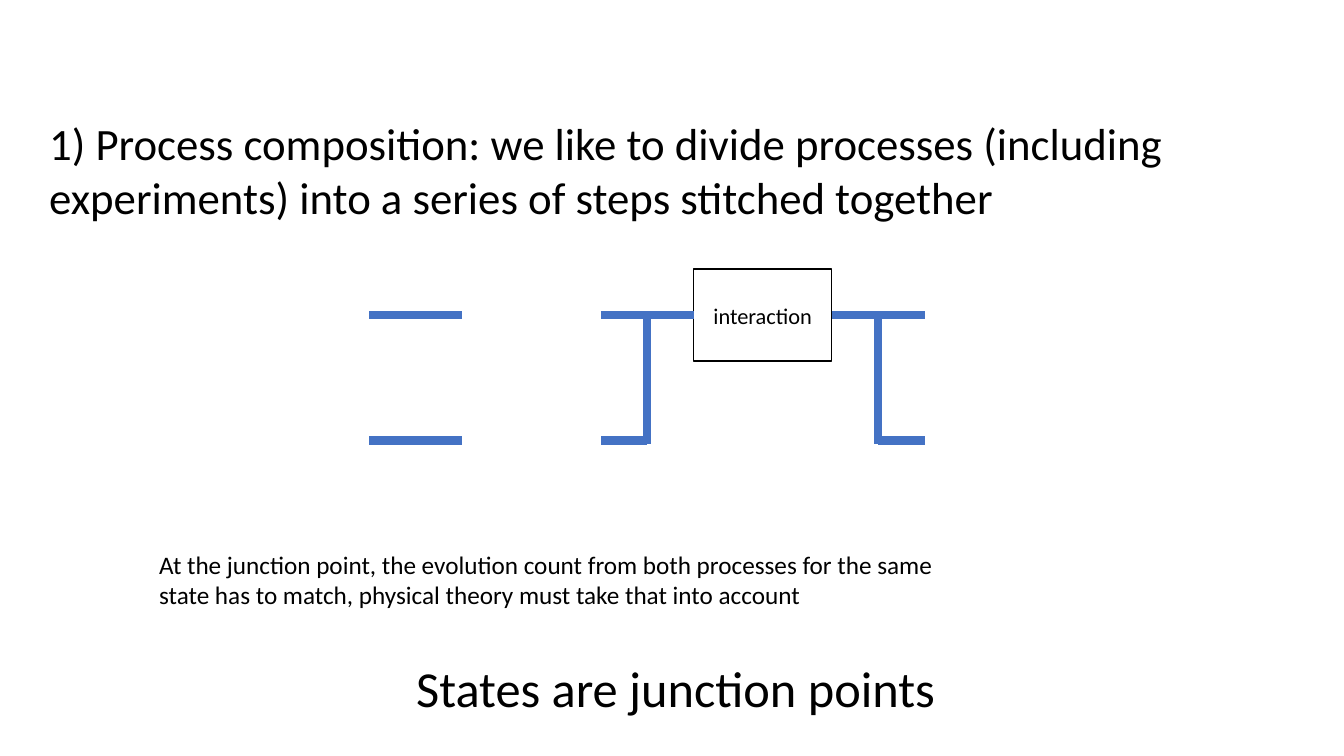
from dataclasses import dataclass
from typing import Optional

from lxml.etree import SubElement
from pptx import Presentation
from pptx.dml.color import RGBColor
from pptx.enum.shapes import MSO_CONNECTOR, MSO_SHAPE
from pptx.enum.text import MSO_ANCHOR, PP_ALIGN
from pptx.oxml.ns import qn
from pptx.shapes.autoshape import Shape
from pptx.slide import Slide
from pptx.util import Cm, Pt

BLACK = RGBColor(0x00, 0x00, 0x00)
WHITE = RGBColor(0xFF, 0xFF, 0xFF)
BLUE = RGBColor(0x44, 0x72, 0xC4)
FONT = "Calibri"

BOX_LEFT, BOX_TOP, BOX_WIDTH, BOX_HEIGHT = 17.48, 6.78, 3.48, 2.32
BOX_RIGHT = BOX_LEFT + BOX_WIDTH
HIGH = BOX_TOP + BOX_HEIGHT / 2
LOW = 11.1
FOOT = 11.2
WIRE = 2.34
HALF = WIRE / 2
START = 9.3
LEFT_SIDE, RIGHT_SIDE = 1, 3


@dataclass
class Label:
    text: str
    left: float
    top: float
    width: float
    height: float
    size: int
    align: PP_ALIGN = PP_ALIGN.LEFT


@dataclass
class Line:
    x1: float
    y1: float
    x2: float
    y2: float
    begin: Optional[int] = None
    end: Optional[int] = None


LABELS = [
    Label("1) Process composition: we like to divide processes (including "
          "experiments) into a series of steps stitched together",
          0.99, 2.8, 32.05, 3, 32),
    Label("States are junction points", 8.56, 16.43, 16.94, 1.8, 36,
          PP_ALIGN.CENTER),
    Label("At the junction point, the evolution count from both processes "
          "for the same state has to match, physical theory must take that "
          "into account", 3.76, 13.72, 20.85, 1.8, 18),
]

LINES = [
    Line(START, HIGH, START + WIRE, HIGH),
    Line(START, LOW, START + WIRE, LOW),
    Line(BOX_RIGHT, HIGH, BOX_RIGHT + WIRE, HIGH, begin=RIGHT_SIDE),
    Line(BOX_RIGHT + WIRE, LOW, BOX_RIGHT + HALF, LOW),
    Line(BOX_RIGHT + HALF, HIGH, BOX_RIGHT + HALF, FOOT),
    Line(BOX_LEFT - WIRE, HIGH, BOX_LEFT, HIGH, end=LEFT_SIDE),
    Line(BOX_LEFT - HALF, LOW, BOX_LEFT - WIRE, LOW),
    Line(BOX_LEFT - HALF, HIGH, BOX_LEFT - HALF, FOOT),
]


def write(shape: Shape, text: str, size: int, align: PP_ALIGN) -> None:
    shape.text_frame.word_wrap = True
    para = shape.text_frame.paragraphs[0]
    para.text = text
    para.alignment = align
    para.font.name = FONT
    para.font.size = Pt(size)
    para.font.color.rgb = BLACK


def add_label(slide: Slide, label: Label) -> None:
    shape = slide.shapes.add_textbox(Cm(label.left), Cm(label.top),
                                     Cm(label.width), Cm(label.height))
    write(shape, label.text, label.size, label.align)


def add_box(slide: Slide) -> Shape:
    box = slide.shapes.add_shape(MSO_SHAPE.RECTANGLE, Cm(BOX_LEFT), Cm(BOX_TOP),
                                 Cm(BOX_WIDTH), Cm(BOX_HEIGHT))
    box.shadow.inherit = False
    box.fill.solid()
    box.fill.fore_color.rgb = WHITE
    box.line.color.rgb = BLACK
    box.line.width = Pt(1)
    box.text_frame.vertical_anchor = MSO_ANCHOR.MIDDLE
    write(box, "interaction", 16, PP_ALIGN.CENTER)
    return box


def add_line(slide: Slide, line: Line, box: Shape) -> None:
    wire = slide.shapes.add_connector(MSO_CONNECTOR.STRAIGHT, Cm(line.x1),
                                      Cm(line.y1), Cm(line.x2), Cm(line.y2))
    wire.line.color.rgb = BLUE
    wire.line.width = Pt(6)
    SubElement(wire._element.spPr, qn("a:effectLst"))
    if line.begin is not None:
        wire.begin_connect(box, line.begin)
    if line.end is not None:
        wire.end_connect(box, line.end)


def main() -> None:
    deck = Presentation()
    deck.slide_width = Cm(33.87)
    deck.slide_height = Cm(19.05)
    slide = deck.slides.add_slide(deck.slide_layouts[6])
    for label in LABELS:
        add_label(slide, label)
    box = add_box(slide)
    for line in LINES:
        add_line(slide, line, box)
    deck.save("out.pptx")


if __name__ == "__main__":
    main()
